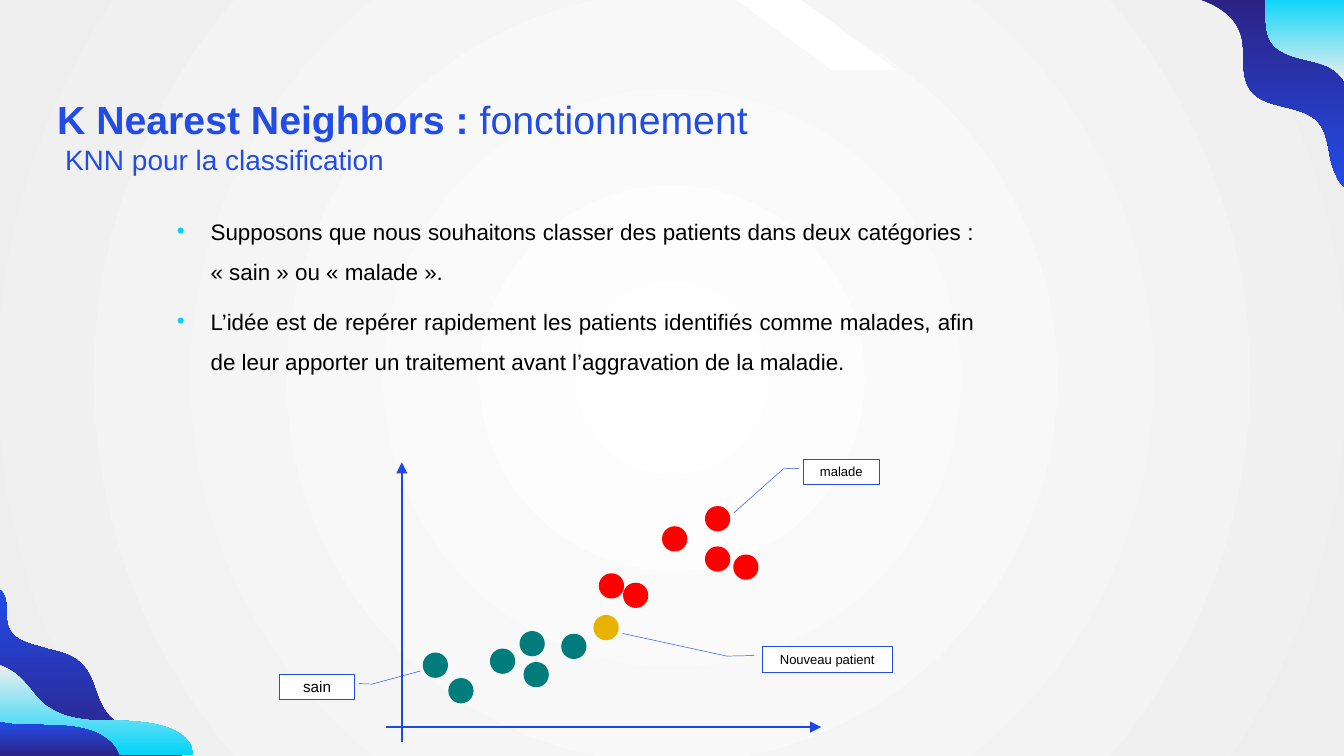
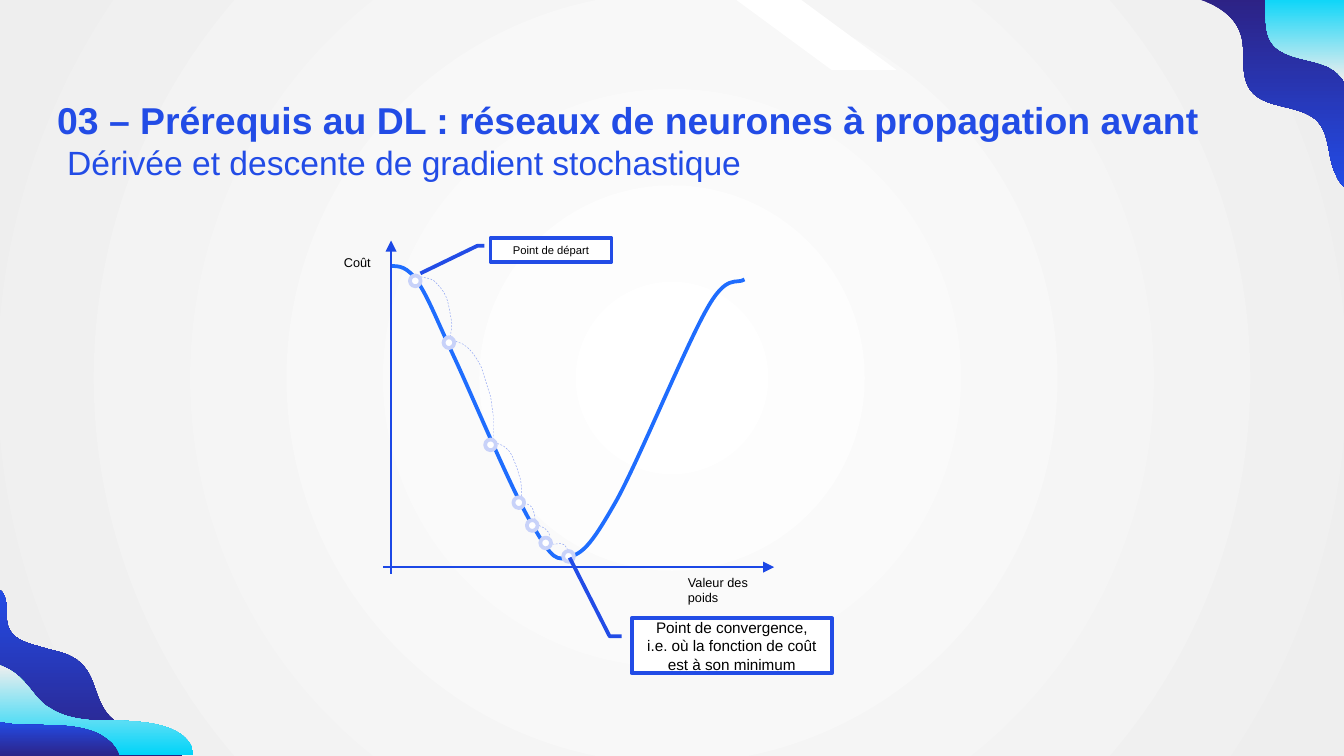
"""Two slides on machine learning: KNN classification and gradient descent."""
from lxml import etree
from pptx import Presentation
from pptx import util as u
from pptx.dml.color import RGBColor
from pptx.enum import dml, shapes, text
from pptx.oxml import parse_xml
from pptx.oxml.ns import nsdecls, qn

rgb = RGBColor.from_string
BLUE, AXIS, CURVE, HOP, RING = "224CE6", "1C48E6", "1F6DFE", "90A5F3", "C8D2F9"
NAVY, CYAN, GREY, WHITE, BLACK = "2D2183", "00D4F9", "EEEEEE", "FFFFFF", "000000"
RED, TEAL, GOLD = "FF0000", "007C7C", "EAB200"

prs = Presentation()
prs.slide_width, prs.slide_height = u.Inches(10), u.Inches(5.625)
COL = prs.slide_width // 100


def trace(slide, coords, corners=()):
    """Draw chained cubic curves, closed through the corners if there are any."""
    pts = [(x * COL, y * COL) for x, y in [*zip(coords[::2], coords[1::2]), *corners]]
    builder = slide.shapes.build_freeform(*pts[0])
    builder.add_line_segments(pts[1:], close=bool(corners))
    sp = builder.convert_to_shape()
    sp.shadow.inherit = False
    steps = list(sp.element.iter(qn("a:lnTo")))[:len(coords) // 2 - 1]
    for trio in zip(steps[::3], steps[1::3], steps[2::3]):
        curve = etree.Element(qn("a:cubicBezTo"))
        trio[0].addprevious(curve)
        for step in trio:
            curve.append(step[0])
            step.getparent().remove(step)
    return sp


def write(p, content, size, color=BLACK, bold=False, tail=""):
    """Set a paragraph's text, with an optional plain tail."""
    p.text = content
    if tail:
        p.add_run().text = tail
    for i, r in enumerate(p.runs):
        r.font.name, r.font.size = "Arial", u.Pt(size)
        r.font.color.rgb = rgb(color)
        r.font.bold = bold and i == 0


master = prs.slide_master
fill = master.background.fill
fill.gradient()
for stop, color in zip(fill.gradient_stops, (WHITE, GREY)):
    stop.color.rgb = rgb(color)
lin = master.element.find(".//" + qn("p:bg")).find(".//" + qn("a:lin"))
lin.getparent().replace(lin, parse_xml(
    f'<a:path {nsdecls("a")} path="circle">'
    '<a:fillToRect l="50000" t="50000" r="50000" b="50000"/></a:path>'))

knn = prs.slides.add_slide(prs.slide_layouts[1])
descent = prs.slides.add_slide(prs.slide_layouts[5])

waves = [
    ((87.2, -.4, 89.4, -.3, 91.7, .7, 92.3, 2.5, 92.8, 3.9, 92.1, 5.7, 93.2, 6.9,
      94.3, 8.1, 96.6, 7.8, 97.9, 8.9, 99, 9.9, 98.7, 11.6, 99.4, 13,
      99.5, 13.3, 99.7, 13.6, 100, 13.9), [(100, -.4)], NAVY, BLUE, 270),
    ((94.1, -.4, 94.3, .9, 93.9, 2.4, 94.8, 3.4, 96, 4.6, 98.3, 4.3, 99.5, 5.4,
      99.7, 5.6, 99.9, 5.8, 100, 6), [(100, -.4)], CYAN, GREY, 270),
    ((0, 43.9, .1, 44, .1, 44, .2, 44.1, .5, 44.6, .5, 45.1, .5, 45.6,
      .5, 46.1, .5, 46.6, .8, 47, 1.2, 47.6, 2.1, 47.9, 2.9, 48.1,
      3.8, 48.4, 4.7, 48.5, 5.4, 48.9, 7.4, 50, 6.8, 52.3, 8.5, 53.6,
      9.9, 54.6, 12.9, 54.8, 13.6, 56.3), [(-.2, 56.3)], NAVY, BLUE, 90),
    ((-.2, 49.5, 0, 49.5, .2, 49.6, .4, 49.7, 1.1, 50, 1.6, 50.5, 2.1, 51.1,
      2.6, 51.7, 3, 52.3, 3.7, 52.7, 4.6, 53.3, 5.7, 53.5, 6.8, 53.6,
      8, 53.6, 9.1, 53.6, 10.2, 53.7, 11.3, 53.8, 12.5, 54, 13.4, 54.6,
      14, 55, 14.4, 55.6, 14.4, 56.2), [(-.2, 56.2)], CYAN, GREY, 90),
    ((-.2, 53.7, .3, 53.8, .8, 53.9, 1.3, 53.9, 2.4, 54, 3.6, 53.9, 4.7, 54,
      5.8, 54.1, 7, 54.3, 7.8, 54.9, 8.4, 55.3, 8.8, 55.8, 8.9, 56.4),
     [(-.2, 56.4)], NAVY, BLUE, 90),
]
decor = []
for coords, corners, start, end, angle in waves:
    sp = trace(knn, coords, corners)
    sp.fill.gradient()
    sp.fill.gradient_angle = angle
    for stop, color in zip(sp.fill.gradient_stops, (start, end)):
        stop.color.rgb = rgb(color)
    decor.append(sp)
band = knn.shapes.add_shape(shapes.MSO_SHAPE.PARALLELOGRAM,
                            *(round(v * COL) for v in (54.8, 0, 11.9, 5.2)))
band.adjustments[0] = 1.36
band.element.spPr.find(qn("a:xfrm")).set("flipH", "1")
band.fill.solid()
band.fill.fore_color.rgb = rgb(WHITE)
band.shadow.inherit = False
for i, sp in enumerate(decor + [band]):
    sp.line.fill.background()
    sp.element.nvSpPr.cNvPr.set("id", str(50 + i))
    master.shapes.element.append(sp.element)

headings = [
    (knn, "K Nearest Neighbors :", " fonctionnement", 21, 68.3,
     "KNN pour la classification", 15, (4.15, 10.55, 68.3, 2.6)),
    (descent, "03 – Prérequis au DL : réseaux de neurones à propagation avant", "", 20, 88.7,
     "Dérivée et descente de gradient stochastique", 18, (4.3, 9.1, 68.3, 4.5)),
]
for s, head, tail, size, width, subtitle, sub_size, place in headings:
    title = s.shapes.title
    title.left, title.top, title.width, title.height = (
        round(v * COL) for v in (4.25, 6.13, width, 4.5))
    sub = s.shapes.add_textbox(*(round(v * COL) for v in place))
    for sp, insets in ((title, (0, 0, 0, 0)), (sub, (.7, .4, .7, 0))):
        tf = sp.text_frame
        tf.margin_left, tf.margin_top, tf.margin_right, tf.margin_bottom = (
            round(v * COL) for v in insets)
        tf.word_wrap, tf.auto_size = True, text.MSO_AUTO_SIZE.NONE
        tf.vertical_anchor = text.MSO_ANCHOR.BOTTOM
        tf.paragraphs[0].alignment = text.PP_ALIGN.LEFT
        tf.paragraphs[0].line_spacing = 0.9
    write(title.text_frame.paragraphs[0], head, size, BLUE, True, tail)
    write(sub.text_frame.paragraphs[0], subtitle, sub_size, BLUE)

body = knn.placeholders[1]
body.left, body.top, body.width, body.height = (
    round(v * COL) for v in (8.17, 15.2, 64.4, 16.5))
tf = body.text_frame
tf.margin_left = tf.margin_top = tf.margin_right = tf.margin_bottom = 0
tf.auto_size = text.MSO_AUTO_SIZE.NONE
bullets = [
    "Supposons que nous souhaitons classer des patients dans deux catégories : "
    "« sain » ou « malade ».",
    "L’idée est de repérer rapidement les patients identifiés comme malades, afin "
    "de leur apporter un traitement avant l’aggravation de la maladie.",
]
for i, content in enumerate(bullets):
    p = tf.add_paragraph() if i else tf.paragraphs[0]
    p.level = 1
    pPr = p._p.get_or_add_pPr()
    pPr.set("marL", str(round(7.5 * COL)))
    pPr.set("indent", str(round(-2.5 * COL)))
    etree.SubElement(etree.SubElement(pPr, qn("a:buClr")), qn("a:srgbClr"), val=CYAN)
    etree.SubElement(pPr, qn("a:buFont"), typeface="Arial")
    etree.SubElement(pPr, qn("a:buChar"), char="•")
    p.alignment, p.line_spacing = text.PP_ALIGN.JUSTIFY, 1.5
    p.space_before = u.Pt(5 if i else 0)
    write(p, content, 12)

cost = (29.1, 19.8, 29.7, 19.8, 30.3, 19.8, 31.1, 21, 31.9, 22.2, 32.5, 23.8, 33.9, 26.8,
        35.3, 29.8, 38.2, 36.8, 39.7, 39.2, 41.1, 41.6, 41.4, 41.8, 42.5, 41.4,
        43.5, 41.1, 44.2, 40.2, 45.9, 37.2, 47.6, 34.1, 51, 25.8, 52.6, 23,
        54.1, 20.3, 54.8, 21.2, 55.4, 20.8)
hops = [
    (39, 37.4, 39.2, 37.5, 39.5, 37.6, 39.6, 37.8, 39.7, 38, 39.8, 38.3, 39.8, 38.7),
    (40.1, 39.1, 40.3, 39.2, 40.6, 39.3, 40.7, 39.5, 40.9, 39.6, 40.9, 39.9, 40.9, 40.2),
    (41.1, 40.5, 41.4, 40.5, 41.7, 40.4, 41.9, 40.5, 42.1, 40.5, 42.2, 41, 42.3, 40.9),
    (31.3, 20.6, 31.7, 20.7, 32, 20.7, 32.3, 20.9, 32.6, 21.2, 33, 21.6, 33.2, 22.1,
     33.4, 22.6, 33.5, 23.4, 33.6, 23.9, 33.7, 24.4, 33.4, 25.1, 33.6, 25.2),
    (33.9, 25.4, 34.1, 25.5, 34.4, 25.5, 34.7, 25.8, 35.1, 26.1, 35.5, 26.7, 35.8, 27.3,
     36, 27.9, 36.3, 28.9, 36.5, 29.5, 36.6, 30.1, 36.6, 30.3, 36.7, 30.9,
     36.7, 31.4, 36.7, 32, 36.7, 32.7),
    (37, 33, 37.2, 33.1, 37.4, 33.1, 37.6, 33.3, 37.8, 33.4, 37.9, 33.6, 38.1, 33.9,
     38.2, 34.2, 38.5, 34.8, 38.6, 35.3, 38.8, 35.7, 38.8, 36.3, 38.8, 36.6,
     38.8, 36.9, 38.8, 37, 38.8, 37),
]
for coords in [cost] + hops:
    sp = trace(descent, coords)
    sp.fill.background()
    sp.line.color.rgb = rgb(CURVE if coords is cost else HOP)
    sp.line.width = u.Pt(2 if coords is cost else 0.25)
    if coords is not cost:
        sp.line.dash_style = dml.MSO_LINE.DASH

axes = [(knn, (28.7, 54.1, 61.1, 54.1)), (knn, (29.9, 55.2, 29.9, 34.4)),
        (descent, (29.1, 42.7, 29.1, 17.9)), (descent, (28.5, 42.2, 57.6, 42.2))]
for s, ends in axes:
    axis = s.shapes.add_connector(shapes.MSO_CONNECTOR.STRAIGHT,
                                  *(round(v * COL) for v in ends))
    axis.line.color.rgb, axis.line.width = rgb(AXIS), u.Pt(0.75)
    spPr = axis.element.spPr
    etree.SubElement(spPr.find(qn("a:ln")), qn("a:tailEnd"), type="triangle")
    etree.SubElement(spPr, qn("a:effectLst"))

dots = [
    (knn, 1.6, RED, RED, [(49.4, 39.3), (44.7, 42.8), (54.7, 41.4), (52.6, 40.8),
                          (52.6, 37.8), (46.5, 43.5)]),
    (knn, 1.6, GOLD, GOLD, [(44.3, 45.9)]),
    (knn, 1.6, TEAL, TEAL, [(31.6, 48.7), (33.5, 50.6), (39.1, 49.4), (36.6, 48.4),
                            (41.9, 47.3), (38.8, 47.1)]),
    (descent, 0.8, WHITE, RING, [(30.5, 20.5), (33, 25.1), (36.1, 32.7), (38.2, 37),
                                 (39.2, 38.7), (40.2, 40), (41.9, 41)]),
]
for s, size, inside, edge, spots in dots:
    for x, y in spots:
        dot = s.shapes.add_shape(shapes.MSO_SHAPE.FLOWCHART_CONNECTOR,
                                 *(round(v * COL) for v in (x, y, size, size)))
        dot.shadow.inherit = False
        dot.fill.solid()
        dot.fill.fore_color.rgb = rgb(inside)
        dot.line.color.rgb, dot.line.width = rgb(edge), u.Pt(2)

for content, place in (("Valeur des poids", (50.2, 42.3, 8.4, 3.3)),
                       ("Coût", (24.6, 18.5, 4.5, 2.1))):
    label = descent.shapes.add_textbox(*(round(v * COL) for v in place))
    label.text_frame.word_wrap = True
    write(label.text_frame.paragraphs[0], content, 6.8)

callouts = [
    (knn, "sain", 8.2, 0.25, (20.8, 50.2, 5.6, 1.8), (.37, 1.06, .39, 1.23, -.15, 1.87)),
    (knn, "malade", 7, 0.25, (59.8, 34.2, 5.6, 1.8), (.36, -.06, .38, -.27, 2.21, -.93)),
    (knn, "Nouveau patient", 7, 0.25, (56.7, 48.1, 9.7, 1.9),
     (.36, -.06, .38, -.27, -.51, -1.07)),
    (descent, "Point de départ", 6, 2, (36.5, 17.7, 9, 1.8),
     (.33, -.05, .33, -.11, 1.47, -.58)),
    (descent, "Point de convergence, i.e. où la fonction de coût est à son minimum", 8.2, 2,
     (47, 46, 14.9, 4.1), (.33, -.05, .33, -.11, -1.1, -.31)),
]
for s, content, size, weight, place, leader in callouts:
    box = s.shapes.add_shape(shapes.MSO_SHAPE.LINE_CALLOUT_2,
                             *(round(v * COL) for v in place))
    for i, v in enumerate(leader):
        box.adjustments[i] = v
    box.shadow.inherit = False
    box.fill.solid()
    box.fill.fore_color.rgb = rgb(WHITE)
    box.line.color.rgb, box.line.width = rgb(BLUE), u.Pt(weight)
    tf = box.text_frame
    tf.word_wrap, tf.vertical_anchor = True, text.MSO_ANCHOR.MIDDLE
    tf.paragraphs[0].alignment = text.PP_ALIGN.CENTER
    write(tf.paragraphs[0], content, size)

prs.save("out.pptx")
